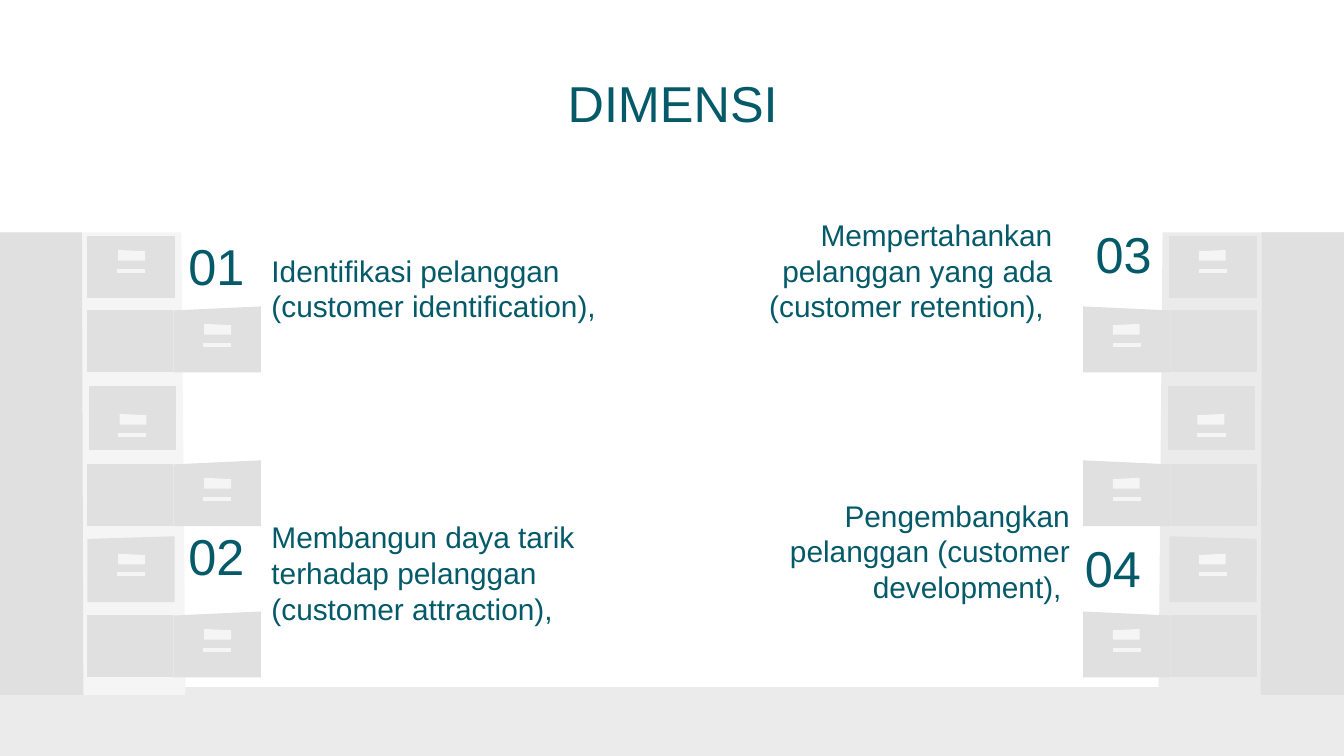
import pptx
import pptx.dml.color
import pptx.enum.text
import pptx.util
from lxml import etree

RGBColor = pptx.dml.color.RGBColor
ALIGN = pptx.enum.text.PP_ALIGN
ANCHOR = pptx.enum.text.MSO_ANCHOR

TEAL = RGBColor(0x04, 0x5A, 0x68)
FLOOR_GREY = RGBColor(0xEB, 0xEB, 0xEB)
DRAWER_GREY = RGBColor(0xE0, 0xE0, 0xE0)
PALE_GREY = RGBColor(0xF5, 0xF5, 0xF5)

# The grid has square cells of a tenth of an inch.
COLUMNS, ROWS = 100, 56.25
CELL = pptx.util.Inches(0.1)

# Left column, top row, then drops of the inner top, outer top and label.
CLOSED_DRAWERS = [
    (6.5, 17.3, 0.3, 0.3, 1.3),
    (6.6, 28.6, 0.1, 0.1, 2.2),
    (6.5, 39.9, 0.2, 0, 1.3),
]
OPEN_DRAWER_TOPS = [22.8, 34.25, 45.5]

# Text, its frame, alignment, number, and the number's column and row.
DIMENSIONS = [
    ("Identifikasi pelanggan (customer identification),",
     (19.2, 18.1, 29.3, 7), ALIGN.LEFT, "01", 12.5, 16.5),
    ("Membangun daya tarik terhadap pelanggan (customer attraction),",
     (19.2, 40.6, 28.4, 7), ALIGN.LEFT, "02", 12.5, 38.1),
    ("Mempertahankan pelanggan yang ada (customer retention), ",
     (52.5, 18.1, 26.8, 7), ALIGN.RIGHT, "03", 80, 15.6),
    ("Pengembangkan pelanggan (customer development), ",
     (51.7, 39, 28.9, 7), ALIGN.RIGHT, "04", 79.2, 39),
]


def grid(cells):
    return round(cells * CELL)


def write_text(shape, text, size=16, align=ALIGN.CENTER, anchor=ANCHOR.TOP):
    frame = shape.text_frame
    frame.word_wrap = True
    frame.auto_size = pptx.enum.text.MSO_AUTO_SIZE.NONE
    frame.vertical_anchor = anchor
    frame.margin_left = frame.margin_right = grid(1)
    frame.margin_top = frame.margin_bottom = grid(1)
    frame.text = text
    paragraph = frame.paragraphs[0]
    properties = paragraph._p.get_or_add_pPr()
    properties.set("marL", "0")
    properties.set("indent", "0")
    etree.SubElement(properties, pptx.oxml.ns.qn("a:buNone"))
    paragraph.alignment = align
    paragraph.line_spacing = 1.0
    paragraph.space_before = pptx.util.Pt(0)
    font = paragraph.runs[0].font
    font.name = "Arial"
    font.size = pptx.util.Pt(size)
    font.bold = False
    font.color.rgb = TEAL


class SlideBuilder:
    """Draws on one slide in grid cells, optionally mirrored left to right."""

    def __init__(self, slide):
        self.slide = slide
        self.shapes = slide.shapes
        self.mirrored = False

    def placeholder(self, index, text, frame, **text_format):
        shape = self.slide.placeholders[index]
        shape.left, shape.top, shape.width, shape.height = map(grid, frame)
        write_text(shape, text, **text_format)

    def number(self, text, column, row):
        box = self.slide.shapes.add_textbox(
            grid(column), grid(row), grid(7.2), grid(9))
        write_text(box, text, size=27)

    def polygon(self, points, color):
        points = [(grid(COLUMNS - x if self.mirrored else x), grid(y))
                  for x, y in points]
        builder = self.shapes.build_freeform(*points[0])
        builder.add_line_segments(points[1:], close=True)
        shape = builder.convert_to_shape()
        shape.shadow.inherit = False
        shape.fill.solid()
        shape.fill.fore_color.rgb = color
        shape.line.fill.background()

    def panel(self, left, right, bottom, left_top, right_top, color):
        """Draw a panel with upright sides and a top that may slope."""
        self.polygon([(left, left_top), (left, bottom),
                      (right, bottom), (right, right_top)], color)

    def drawer(self, left, top, inner_drop, outer_drop, label_drop):
        self.panel(left, left + 6.5, top + 4.9, top + inner_drop,
                   top + outer_drop, DRAWER_GREY)
        label = top + label_drop
        self.panel(left + 2.3, left + 4.3, label + 0.8, label, label + 0.1,
                   PALE_GREY)
        self.panel(left + 2.2, left + 4.3, label + 1.7, label + 1.4,
                   label + 1.4, PALE_GREY)

    def cabinet(self, frame_color, mirrored):
        self.mirrored = mirrored
        self.shapes = self.slide.shapes.add_group_shape().shapes
        for top_right, bottom_right, color in [(13.5, 13.8, frame_color),
                                               (6.1, 6.2, DRAWER_GREY)]:
            self.polygon([(0, 17.3), (0, 51.7), (bottom_right, 51.7),
                          (top_right, 17.3)], color)
        for drawer in CLOSED_DRAWERS:
            self.drawer(*drawer)
        for top in OPEN_DRAWER_TOPS:
            self.drawer(12.9, top, 0.3, 0, 1.3)
            self.panel(6.5, 12.9, top + 4.9, top + 0.3, top + 0.3, DRAWER_GREY)


def main():
    presentation = pptx.Presentation()
    presentation.slide_width = grid(COLUMNS)
    presentation.slide_height = grid(ROWS)
    comparison_layout = presentation.slide_layouts[4]
    builder = SlideBuilder(presentation.slides.add_slide(comparison_layout))

    builder.panel(0, COLUMNS, ROWS, 51.1, 51.1, FLOOR_GREY)
    builder.placeholder(0, "DIMENSI", (7.9, 5.9, 84.3, 3.5), size=27,
                        anchor=ANCHOR.MIDDLE)
    for index, dimension in enumerate(DIMENSIONS, start=1):
        text, frame, align, number, column, row = dimension
        builder.placeholder(index, text, frame, align=align,
                            anchor=ANCHOR.BOTTOM)
        builder.number(number, column, row)
    builder.cabinet(FLOOR_GREY, mirrored=True)
    builder.cabinet(PALE_GREY, mirrored=False)
    presentation.save("out.pptx")


if __name__ == "__main__":
    main()
